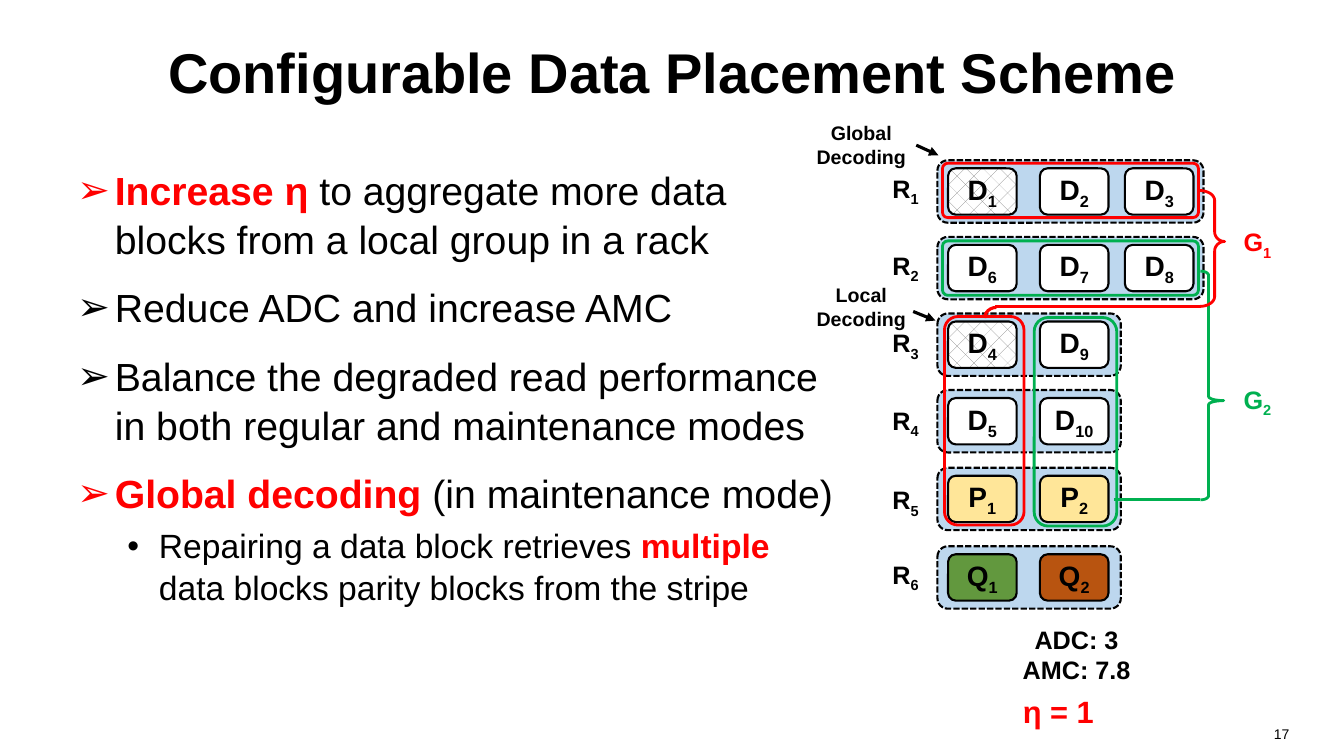
from math import cos, pi, sin

from lxml import etree
from pptx import Presentation
from pptx.dml.color import RGBColor
from pptx.enum.dml import MSO_LINE, MSO_PATTERN
from pptx.enum.shapes import MSO_CONNECTOR, MSO_SHAPE
from pptx.enum.text import MSO_ANCHOR, PP_ALIGN
from pptx.oxml.ns import qn
from pptx.util import Pt

ROUND, ARC, STRAIGHT = MSO_SHAPE.ROUNDED_RECTANGLE, MSO_SHAPE.ARC, MSO_CONNECTOR.STRAIGHT
DASH, BRICK = MSO_LINE.SQUARE_DOT, MSO_PATTERN.DIAGONAL_BRICK
LEFT, CENTER, RIGHT = PP_ALIGN.LEFT, PP_ALIGN.CENTER, PP_ALIGN.RIGHT
TOP, MIDDLE = MSO_ANCHOR.TOP, MSO_ANCHOR.MIDDLE
BLACK = RGBColor(0x00, 0x00, 0x00)
WHITE = RGBColor(0xFF, 0xFF, 0xFF)
GRAY = RGBColor(0x80, 0x80, 0x80)
RED = RGBColor(0xFF, 0x00, 0x00)
GREEN = RGBColor(0x00, 0xB0, 0x50)
BLUE = RGBColor(0xBD, 0xD7, 0xEE)
YELLOW = RGBColor(0xFF, 0xE6, 0x99)
LEAF = RGBColor(0x62, 0x98, 0x3E)
RUST = RGBColor(0xB8, 0x54, 0x10)

TITLE = "Configurable Data Placement Scheme"
BULLETS = [
    (0, [("Increase η ", True), ("to aggregate more data blocks from a local group in a rack", False)]),
    (0, [("Reduce ADC and increase AMC", False)]),
    (0, [("Balance the degraded read performance in both regular and maintenance modes", False)]),
    (0, [("Global decoding ", True), ("(in maintenance mode)", False)]),
    (1, [("Repairing a data block retrieves ", False), ("multiple", True),
         (" data blocks parity blocks from the stripe", False)]),
]
LEVELS = [
    {"char": "➢", "margin": 27, "hang": 27, "size": 28, "before": 14},
    {"char": "•", "margin": 58.5, "hang": 22.5, "size": 24, "before": 5},
]
RACKS = [
    (114.5, 120.2, [("D", "1", None), ("D", "2", WHITE), ("D", "3", WHITE)]),
    (169.2, 175, [("D", "6", WHITE), ("D", "7", WHITE), ("D", "8", WHITE)]),
    (223.9, 230.4, [("D", "4", None), ("D", "9", WHITE)]),
    (278.6, 285.8, [("D", "5", WHITE), ("D", "10", WHITE)]),
    (334.1, 342.7, [("P", "1", YELLOW), ("P", "2", YELLOW)]),
    (390.2, 396, [("Q", "1", LEAF), ("Q", "2", RUST)]),
]
RACK_X, RACK_H, RACK_W = 669.6, 44.6, {2: 131, 3: 190.1}
BLOCK_X, BLOCK_W, BLOCK_H = [677.2, 742.8, 803.5], 49, 33.1
FRAMES = [
    (673.2, 116.6, 182.9, 38.9, RED, 0.1),
    (673.2, 172.1, 182.9, 38.9, GREEN, 0.1),
    (674.6, 226.1, 56.9, 149, RED, 0.17),
    (738.7, 226.8, 59, 149, GREEN, 0.17),
]
BRACES = [
    (857.5, 193.7, 863.3, 874.1, 357.1, 286.2, 3, GREEN),
    (856.8, 136.1, 867.6, 874.8, 218.9, 172.5, 7, RED),
]
GROUPS = [("1", 158.4, RED), ("2", 270.7, GREEN)]
LINKS = [
    (795.6, 357.1, 857.5, 357.1, GREEN, 2.25, False),
    (710.6, 218.9, 856.8, 218.9, RED, 2, False),
    (654.5, 103.7, 670.3, 110.9, BLACK, 2.25, True),
    (652.3, 222.5, 668.2, 229, BLACK, 2.25, True),
]
CALLOUTS = [
    (["Global", "Decoding"], 576, 82.8, 78.5, 39.6, 14),
    (["Local", "Decoding"], 576, 198.7, 78.5, 39.6, 14),
    (["ADC: 3", "AMC: 7.8"], 711.4, 442.1, 115.2, 49, 18),
]

prs = Presentation()
prs.slide_width, prs.slide_height = Pt(960), Pt(540)
slide = prs.slides.add_slide(prs.slide_layouts[6])
shapes = slide.shapes


def add_run(p, text, size, color=BLACK, bold=True, sub=False):
    r = p.add_run()
    r.text = text
    for name, value in {"name": "Arial", "size": Pt(size), "bold": bold}.items():
        setattr(r.font, name, value)
    r.font.color.rgb = color
    if sub:
        r._r.get_or_add_rPr().set("baseline", "-25000")


def add_text(lines, x, y, w, h, size, color=BLACK, bold=True, align=CENTER, anchor=TOP, wrap=True):
    tf = shapes.add_textbox(Pt(x), Pt(y), Pt(w), Pt(h)).text_frame
    tf.word_wrap, tf.vertical_anchor = wrap, anchor
    for i, line in enumerate(lines):
        p = tf.add_paragraph() if i else tf.paragraphs[0]
        p.alignment = align
        for j, part in enumerate(line if isinstance(line, tuple) else (line,)):
            add_run(p, part, size, color, bold, j > 0)


def outline(s, color, width):
    s.shadow.inherit = False
    s.line.color.rgb, s.line.width = color, Pt(width)


def add_box(kind, x, y, w, h, color, width, fill=None):
    s = shapes.add_shape(kind, Pt(x), Pt(y), Pt(w), Pt(h))
    outline(s, color, width)
    if fill is None:
        s.fill.background()
    else:
        s.fill.solid()
        s.fill.fore_color.rgb = fill
    return s


def add_block(letter, number, x, y, fill):
    s = add_box(ROUND, x, y, BLOCK_W, BLOCK_H, BLACK, 1.5, fill)
    if fill is None:
        s.fill.patterned()
        s.fill.pattern = BRICK
        s.fill.fore_color.rgb, s.fill.back_color.rgb = GRAY, WHITE
    s.text_frame.vertical_anchor = MIDDLE
    p = s.text_frame.paragraphs[0]
    p.alignment = CENTER
    add_run(p, letter, 20)
    add_run(p, number, 20, sub=True)


def add_brace(x, top, spine, tip, bottom, mid, radius, color):
    turns = [i * pi / 16 for i in range(9)]
    upper = [(x + (spine - x) * sin(t), top + radius * (1 - cos(t))) for t in turns]
    upper += [(spine + (tip - spine) * (1 - cos(t)), mid - radius * (1 - sin(t))) for t in turns]
    lower = [(spine + (tip - spine) * (1 - sin(t)), mid + radius * (1 - cos(t))) for t in turns]
    lower += [(x + (spine - x) * cos(t), bottom - radius * (1 - sin(t))) for t in turns]
    points = [(Pt(a), Pt(b)) for a, b in upper + lower]
    builder = shapes.build_freeform(*points[0])
    builder.add_line_segments(points[1:], close=False)
    s = builder.convert_to_shape()
    s.fill.background()
    outline(s, color, 2)


def add_link(x1, y1, x2, y2, color, width, arrow):
    c = shapes.add_connector(STRAIGHT, Pt(x1), Pt(y1), Pt(x2), Pt(y2))
    c.line.color.rgb, c.line.width = color, Pt(width)
    if arrow:
        etree.SubElement(c.line._get_or_add_ln(), qn("a:tailEnd"), type="triangle")
    etree.SubElement(c._element.spPr, qn("a:effectLst"))


add_text([TITLE], 48, 5.8, 864, 90, 40, anchor=MIDDLE)
add_text(["17"], 704.2, 514.8, 223.9, 25.2, 10, bold=False, align=RIGHT)

tf = shapes.add_textbox(Pt(48), Pt(113.8), Pt(557.3), Pt(368.6)).text_frame
tf.word_wrap = True
for i, (level, parts) in enumerate(BULLETS):
    style = LEVELS[level]
    p = tf.add_paragraph() if i else tf.paragraphs[0]
    pPr = p._p.get_or_add_pPr()
    pPr.set("marL", str(Pt(style["margin"])))
    pPr.set("indent", str(-Pt(style["hang"])))
    etree.SubElement(pPr, qn("a:buFont"), typeface="Arial")
    etree.SubElement(pPr, qn("a:buChar"), char=style["char"])
    p.level, p.line_spacing = level, 1.04
    if i:
        p.space_before = Pt(style["before"])
    for text, strong in parts:
        add_run(p, text, style["size"], RED if strong else BLACK, strong)

for i, (top, label_top, blocks) in enumerate(RACKS, 1):
    rack = add_box(ROUND, RACK_X, top, RACK_W[len(blocks)], RACK_H, BLACK, 1.5, BLUE)
    rack.line.dash_style = DASH
    for x, (letter, number, fill) in zip(BLOCK_X, blocks):
        add_block(letter, number, x, top + (RACK_H - BLOCK_H) / 2, fill)
    add_text([("R", str(i))], 627.8, label_top, 38.2, 28.1, 18, wrap=False)

for x, y, w, h, color, corner in FRAMES:
    add_box(ROUND, x, y, w, h, color, 2).adjustments[0] = corner
for brace in BRACES:
    add_brace(*brace)
for number, y, color in GROUPS:
    add_text([("G", number)], 879.8, y, 36.7, 28.1, 18, color, wrap=False)
for link in LINKS:
    add_link(*link)

arc = add_box(ARC, 703.4, 219.6, 16.6, 15.1, RED, 2.25)
arc.adjustments[0], arc.adjustments[1] = 108, 162

for callout in CALLOUTS:
    add_text(*callout, wrap=False)
add_text(["η = 1"], 723.6, 491, 73.4, 33.8, 22, RED, align=LEFT)

prs.save("out.pptx")
